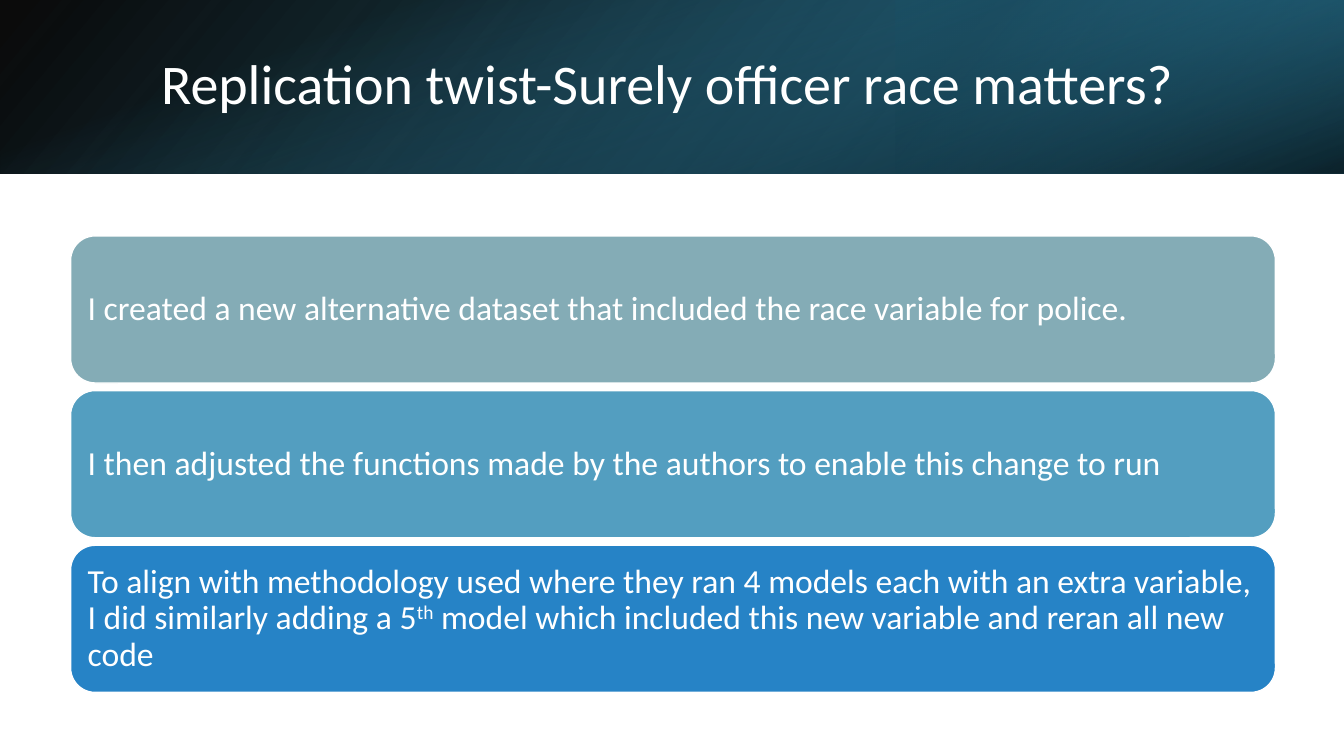
from lxml import etree
from pptx import Presentation
from pptx.dml.color import RGBColor
from pptx.enum.shapes import MSO_SHAPE as SHAPE
from pptx.enum.text import MSO_ANCHOR as ANCHOR, PP_ALIGN as ALIGN
from pptx.oxml import parse_xml
from pptx.oxml.ns import nsdecls, qn
from pptx.util import Inches, Pt

W, H = 13.33, 7.5
BAND = 1.72


def color(value):
    return RGBColor.from_string(value)


def add_text(sp, runs, size, inset):
    tf = sp.text_frame
    tf.word_wrap = True
    tf.vertical_anchor = ANCHOR.MIDDLE
    tf.margin_left = tf.margin_right = Inches(0.1)
    tf.margin_top = tf.margin_bottom = Inches(inset)
    p = tf.paragraphs[0]
    p.alignment = ALIGN.LEFT
    p.line_spacing = 0.9
    p.font.size = Pt(size)
    p.font.name = "Calibri"
    p.font.color.rgb = color("FFFFFF")
    for text, raised in runs:
        r = p.add_run()
        r.text = text
        if raised:
            r.font._element.set("baseline", "30000")


prs = Presentation()
prs.slide_width, prs.slide_height = Inches(W), Inches(H)
s = prs.slides.add_slide(prs.slide_layouts[6])

gradients = [
    (0, 0, W, BAND, 0, True, 140, [(0, "000000", 96), (100, "276F8B", 100)]),
    (W * 2 / 3, 0, W / 3, BAND, 180, True, 320, [(19, "1A4A5D", 68), (100, "3494BA", 79)]),
    ((W - BAND) / 2, (BAND - W) / 2, BAND, W, 90, False, 340, [(23, "3494BA", 0), (99, "000000", 74)]),
]
for x, y, w, h, rotation, flipped, angle, stops in gradients:
    sp = s.shapes.add_shape(SHAPE.RECTANGLE, Inches(x), Inches(y), Inches(w), Inches(h))
    sp.shadow.inherit = False
    sp.line.fill.background()
    sp.rotation = rotation
    props = sp._element.spPr
    if flipped:
        props.find(qn("a:xfrm")).set("flipH", "1")
    grad = parse_xml(f'<a:gradFill {nsdecls("a")} rotWithShape="1"><a:gsLst/>'
                     f'<a:lin ang="{angle * 60000}" scaled="0"/></a:gradFill>')
    for pos, rgb, alpha in stops:
        stop = etree.SubElement(grad[0], qn("a:gs"), pos=str(pos * 1000))
        clr = etree.SubElement(stop, qn("a:srgbClr"), val=rgb)
        etree.SubElement(clr, qn("a:alpha"), val=str(alpha * 1000))
    props.find(qn("a:prstGeom")).addnext(grad)

title = s.shapes.add_textbox(Inches(1.5), Inches(0.38), Inches(10.98), Inches(0.96))
add_text(title, [("Replication twist-Surely officer race matters?", False)], 40, 0.05)

steps = [
    ("84ACB6", [("I created a new alternative dataset that included the race variable for police.", False)]),
    ("539EC0", [("I then adjusted the functions made by the authors to enable this change to run", False)]),
    ("2683C6", [("To align with methodology used where they ran 4 models each with an extra variable, "
                 "I did similarly adding a 5", False),
                ("th", True),
                (" model which included this new variable and reran all new code", False)]),
]
TOP, PITCH, CARD = 2.34, 1.535, 1.46
for row, (fill, runs) in enumerate(steps):
    sp = s.shapes.add_shape(SHAPE.ROUNDED_RECTANGLE, Inches(0.7), Inches(TOP + row * PITCH),
                            Inches(11.95), Inches(CARD))
    sp.shadow.inherit = False
    sp.fill.solid()
    sp.fill.fore_color.rgb = color(fill)
    sp.line.color.rgb = color("FFFFFF")
    sp.line.width = Pt(1)
    add_text(sp, runs, 24, 0.1)

prs.save("out.pptx")
